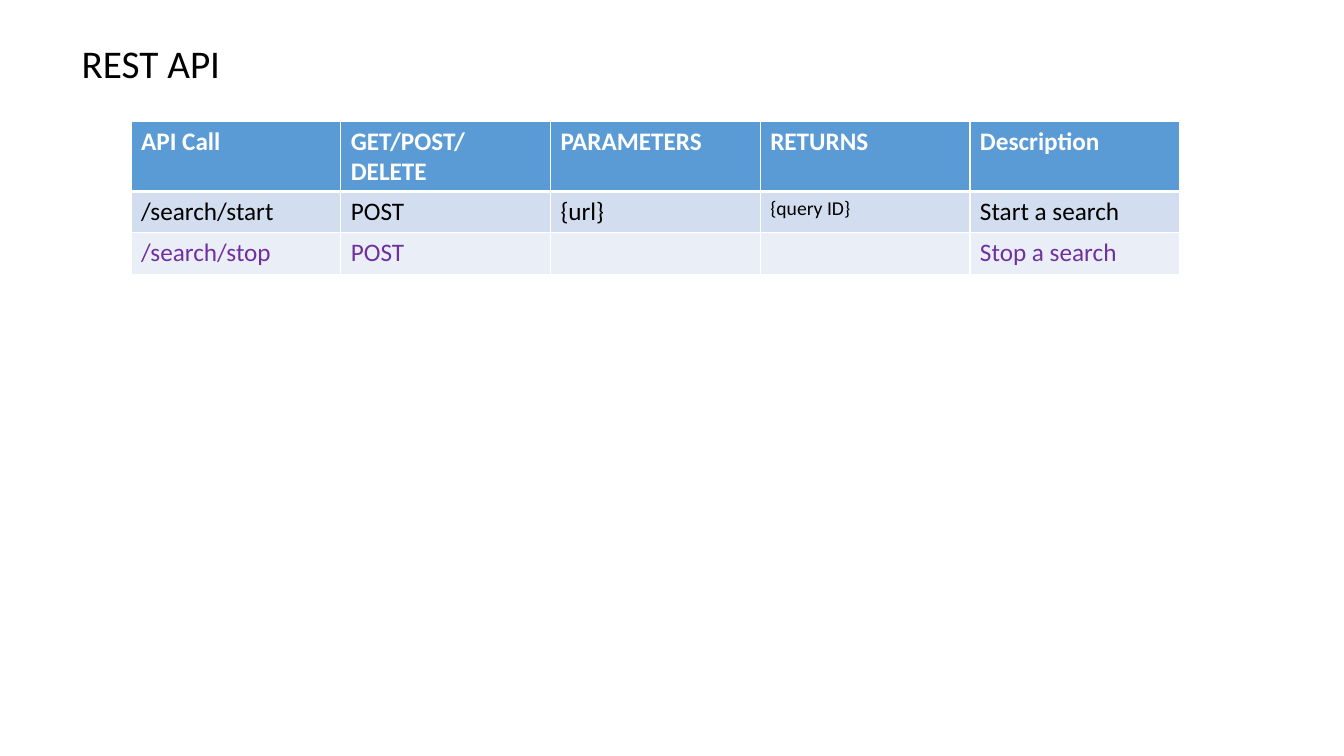
from lxml.etree import SubElement
from pptx import Presentation
from pptx.dml.color import RGBColor as RGB
from pptx.enum.text import MSO_ANCHOR as Anchor, MSO_AUTO_SIZE as Fit, PP_ALIGN as Align
from pptx.oxml.ns import qn
from pptx.util import Inches, Pt

FONT = "Calibri"
BLACK = RGB(0x00, 0x00, 0x00)
WHITE = RGB(0xFF, 0xFF, 0xFF)
PURPLE = RGB(0x70, 0x30, 0xA0)
BLUE = RGB(0x5B, 0x9B, 0xD5)
PALE = RGB(0xD2, 0xDE, 0xEF)
LIGHT = RGB(0xEA, 0xEF, 0xF7)

COL, ROW = Inches(2.08), Inches(0.41)

# Text, fill and font colour of each table row
CALLS = [
    (["API Call", "GET/POST/DELETE", "PARAMETERS", "RETURNS", "Description"], BLUE, WHITE),
    (["/search/start", "POST", "{url}", "{query ID}", "Start a search"], PALE, BLACK),
    (["/search/stop", "POST", "", "", "Stop a search"], LIGHT, PURPLE),
]
SMALL = {"{query ID}": 14}


def style(frame, size, color, bold=False):
    for para in frame.paragraphs:
        for run in para.runs:
            font = run.font
            font.name, font.size, font.bold = FONT, Pt(size), bold
            font.color.rgb = color


def add_title(slide, text):
    title = slide.shapes.title
    title.left, title.top = Inches(0.71), Inches(0.34)
    title.width, title.height = Inches(11.6), Inches(3.1)
    frame = title.text_frame
    frame.text = text
    frame.word_wrap = True
    frame.auto_size = Fit.SHAPE_TO_FIT_TEXT
    frame.vertical_anchor = Anchor.TOP
    frame.paragraphs[0].alignment = Align.LEFT
    style(frame, 28, BLACK)


def add_edge(cell, side, width):
    line = SubElement(cell._tc.get_or_add_tcPr(), qn(f"a:ln{side}"), w=str(Pt(width)))
    fill = SubElement(line, qn("a:solidFill"))
    SubElement(fill, qn("a:srgbClr"), val=str(WHITE))


def fill_cell(cell, text, back, color, head, below):
    # Edges come before the fill in the cell's properties
    for side in "LRTB":
        thick = side == "B" and head or side == "T" and below
        add_edge(cell, side, 3 if thick else 1)
    cell.fill.solid()
    cell.fill.fore_color.rgb = back
    cell.text_frame.text = text
    style(cell.text_frame, SMALL.get(text, 18), color, head)


def add_grid(slide, calls):
    rows, cols = len(calls), len(calls[0][0])
    table = slide.shapes.add_table(
        rows, cols, Inches(1.3), Inches(1.2), cols * COL, rows * ROW).table
    for col in table.columns:
        col.width = COL
    for r, (texts, back, color) in enumerate(calls):
        table.rows[r].height = ROW
        for c, text in enumerate(texts):
            fill_cell(table.cell(r, c), text, back, color, r == 0, r == 1)


def main():
    deck = Presentation()
    deck.slide_width, deck.slide_height = Inches(13.33), Inches(7.5)
    slide = deck.slides.add_slide(deck.slide_layouts.get_by_name("Title Only"))
    add_title(slide, "REST API")
    add_grid(slide, CALLS)
    deck.save("out.pptx")


main()
